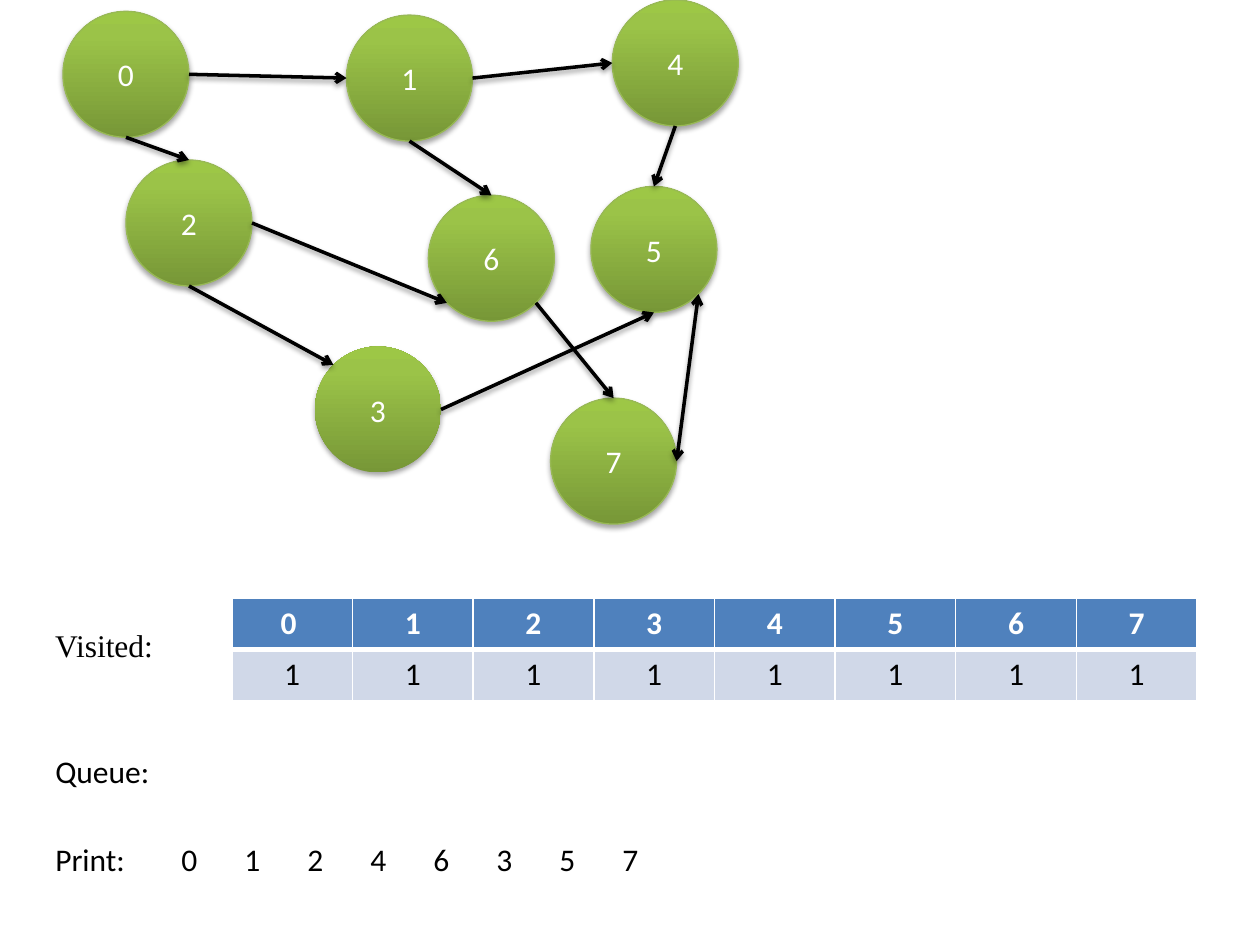
"""Build a slide showing a breadth-first traversal of an eight-node graph."""
from dataclasses import dataclass
from math import cos, radians, sin

from lxml.etree import SubElement
from pptx import Presentation
from pptx.dml.color import RGBColor
from pptx.enum.shapes import MSO_CONNECTOR as Connector, MSO_SHAPE as Shape
from pptx.enum.text import MSO_ANCHOR as Anchor, PP_ALIGN as Align
from pptx.oxml.ns import qn
from pptx.util import Pt


@dataclass(frozen=True)
class Theme:
    ink: str = "000000"
    paper: str = "FFFFFF"
    outline: str = "98B955"
    header: str = "4F81BD"
    band: str = "D0D8E8"
    gradient: tuple = ((0, "779737"), (80, "9BC348"), (100, "9DC746"))
    font: str = "Calibri"
    serif: str = "Times New Roman"
    size: float = 18


class GraphSlide:
    def __init__(self, page, theme):
        self.page, self.theme = page, theme

    def style(self, para, color, font=None, bold=False, align=Align.LEFT):
        para.alignment = align
        para.font.name = font or self.theme.font
        para.font.size = Pt(self.theme.size)
        para.font.bold = bold
        para.font.color.rgb = RGBColor.from_string(color)

    def shadow(self, shape, distance, opacity):
        shape.shadow.inherit = False
        effects = shape.element.spPr.find(qn("a:effectLst"))
        outer = SubElement(effects, qn("a:outerShdw"), blurRad=str(Pt(3.1)),
                           dist=str(Pt(distance)), dir="5400000", rotWithShape="0")
        color = SubElement(outer, qn("a:srgbClr"), val=self.theme.ink)
        SubElement(color, qn("a:alpha"), val=str(opacity * 1000))

    def node(self, label, left, top, diameter, outlined=True):
        circle = self.page.shapes.add_shape(
            Shape.OVAL, Pt(left), Pt(top), Pt(diameter), Pt(diameter))
        circle.fill.gradient()
        circle.fill.gradient_angle = 90
        stops = circle.element.spPr.find(".//" + qn("a:gsLst"))
        stops.clear()
        for position, color in self.theme.gradient:
            stop = SubElement(stops, qn("a:gs"), pos=str(position * 1000))
            SubElement(stop, qn("a:srgbClr"), val=color)
        if outlined:
            circle.line.color.rgb = RGBColor.from_string(self.theme.outline)
            circle.line.width = Pt(0.75)
        else:
            circle.line.fill.background()
        self.shadow(circle, 1.8, 35)
        circle.text_frame.vertical_anchor = Anchor.MIDDLE
        para = circle.text_frame.paragraphs[0]
        para.text = label
        self.style(para, self.theme.paper, align=Align.CENTER)

    def arrow(self, start, end, both_ways=False):
        line = self.page.shapes.add_connector(
            Connector.STRAIGHT, *(Pt(value) for value in (*start, *end)))
        line.line.color.rgb = RGBColor.from_string(self.theme.ink)
        line.line.width = Pt(2)
        stroke = line.element.spPr.find(qn("a:ln"))
        for tag in ("a:headEnd", "a:tailEnd") if both_ways else ("a:tailEnd",):
            SubElement(stroke, qn(tag), type="arrow")
        effects = SubElement(line.element.spPr, qn("a:effectLst"))
        outer = SubElement(effects, qn("a:outerShdw"), blurRad=str(Pt(3.1)),
                           dist=str(Pt(1.6)), dir="5400000", rotWithShape="0")
        color = SubElement(outer, qn("a:srgbClr"), val=self.theme.ink)
        SubElement(color, qn("a:alpha"), val="38000")

    def label(self, text, top, width, height, font=None):
        box = self.page.shapes.add_textbox(Pt(24.48), Pt(top), Pt(width), Pt(height))
        box.text_frame.word_wrap = True
        para = box.text_frame.paragraphs[0]
        para.text = text
        self.style(para, self.theme.ink, font)

    def cell(self, cell, text, fill, color, bold, borders):
        properties = cell._tc.get_or_add_tcPr()
        for side, width in borders.items():
            edge = SubElement(properties, qn("a:ln" + side), w=str(Pt(width)))
            paint = SubElement(edge, qn("a:solidFill"))
            SubElement(paint, qn("a:srgbClr"), val=self.theme.paper)
        cell.fill.solid()
        cell.fill.fore_color.rgb = RGBColor.from_string(fill)
        para = cell.text_frame.paragraphs[0]
        para.text = text
        self.style(para, color, bold=bold, align=Align.CENTER)

    def table(self, header, body, left, top, width, row_height):
        table = self.page.shapes.add_table(
            2, len(header), Pt(left), Pt(top), Pt(width), Pt(2 * row_height)).table
        theme = self.theme
        rows = (
            (header, theme.header, theme.paper, True, dict(L=1, R=1, T=1, B=3)),
            (body, theme.band, theme.ink, False, dict(L=1, R=1, T=3, B=1)),
        )
        for row, (texts, *look) in enumerate(rows):
            for column, text in enumerate(texts):
                self.cell(table.cell(row, column), text, *look)


DIAMETER = 72
NODES = {
    "0": (36, 6.48), "1": (198, 8.64), "3": (180, 198), "2": (72, 91.44),
    "4": (349.92, 0), "5": (337.68, 106.56), "6": (244.8, 111.6),
    "7": (314.64, 227.52),
}
RIGHT, LOWER_RIGHT, BOTTOM, LOWER_LEFT, LEFT, UPPER_LEFT, TOP = range(0, 271, 45)
EDGES = (
    ("0", RIGHT, "1", LEFT), ("0", BOTTOM, "2", TOP),
    ("2", BOTTOM, "3", UPPER_LEFT), ("1", RIGHT, "4", LEFT),
    ("3", RIGHT, "5", BOTTOM), ("2", RIGHT, "6", LOWER_LEFT),
    ("6", LOWER_RIGHT, "7", TOP), ("1", BOTTOM, "6", TOP),
    ("4", BOTTOM, "5", TOP), ("5", LOWER_RIGHT, "7", RIGHT),
)


def rim(name, angle):
    """Return the point on a node's edge at a clockwise angle."""
    left, top = NODES[name]
    radius = DIAMETER / 2
    return (left + radius * (1 + cos(radians(angle))),
            top + radius * (1 + sin(radians(angle))))


deck = Presentation()
deck.slide_width, deck.slide_height = Pt(720), Pt(540)
theme = Theme()
slide = GraphSlide(deck.slides.add_slide(deck.slide_layouts[6]), theme)

for name, (left, top) in NODES.items():
    slide.node(name, left, top, DIAMETER, outlined=name != "3")
for source, leave, target, arrive in EDGES:
    slide.arrow(rim(source, leave), rim(target, arrive),
                both_ways=(source, target) == ("5", "7"))

slide.table(["0 ", *"1234567"], "1" * 8, 132.48, 342, 551.52, 28.8)
slide.label("Visited:", 354.24, 108, 28.8, theme.serif)
slide.label("Queue:", 426.24, 653.76, 51.12)
slide.label("Print: \t0 \t1\t2\t4\t6\t3\t5\t7", 476.64, 653.76, 28.8)

deck.save("out.pptx")
